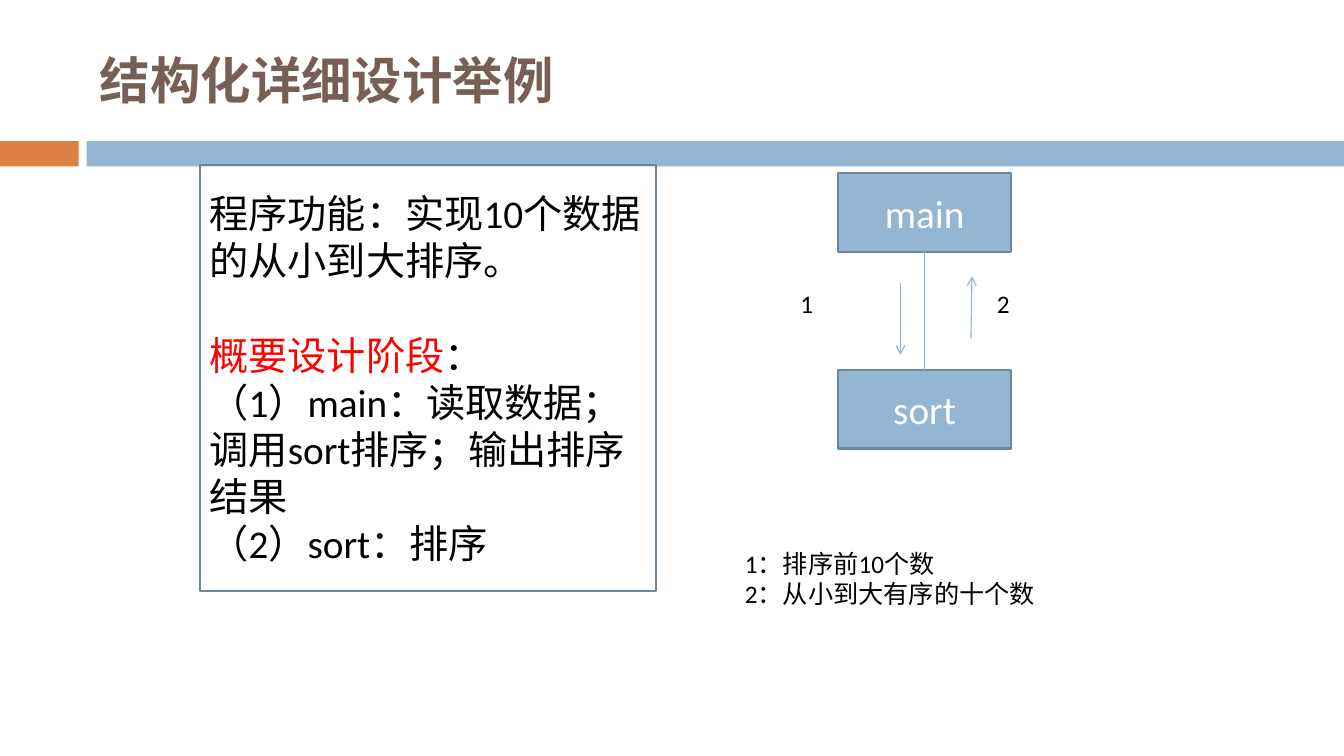
from pptx import Presentation
from pptx.dml.color import RGBColor
from pptx.enum.shapes import MSO_CONNECTOR, MSO_SHAPE
from pptx.enum.text import MSO_ANCHOR, MSO_AUTO_SIZE, PP_ALIGN
from pptx.oxml.ns import qn
from pptx.util import Inches, Pt
from lxml.etree import SubElement

FONT = "Calibri"
COLOURS = {
    "blue": "94B6D2",
    "outline": "6D879B",
    "orange": "DD8047",
    "title": "775F55",
    "black": "000000",
    "red": "FF0000",
    "white": "FFFFFF",
}


def rgb(name):
    """Return the named colour."""
    return RGBColor.from_string(COLOURS[name])


def format_run(run, size, colour, bold=False):
    """Set the font of one run."""
    run.font.name = FONT
    run.font.size = Pt(size)
    run.font.bold = bold
    run.font.color.rgb = rgb(colour)


def write_lines(text_frame, lines, size, colour, align=PP_ALIGN.LEFT):
    """Write one formatted paragraph per line."""
    text_frame.word_wrap = True
    text_frame.text = "\n".join(lines)
    for paragraph in text_frame.paragraphs:
        paragraph.alignment = align
        for run in paragraph.runs:
            format_run(run, size, colour)


def add_title(slide, text):
    """Place and format the title placeholder."""
    title = slide.shapes.title
    title.left, title.top = Inches(0.89), Inches(0.25)
    title.width, title.height = Inches(11.89), Inches(1.08)
    text_frame = title.text_frame
    write_lines(text_frame, [text], 36, "title")
    text_frame.auto_size = MSO_AUTO_SIZE.NONE
    text_frame.vertical_anchor = MSO_ANCHOR.MIDDLE
    text_frame.paragraphs[0].runs[0].font.bold = True


def add_rectangle(slide, left, top, width, height, fill=None, outlined=True):
    """Add a rectangle with an optional fill and outline."""
    shape = slide.shapes.add_shape(
        MSO_SHAPE.RECTANGLE, Inches(left), Inches(top), Inches(width), Inches(height))
    shape.shadow.inherit = False
    if fill:
        shape.fill.solid()
        shape.fill.fore_color.rgb = rgb(fill)
    else:
        shape.fill.background()
    if outlined:
        shape.line.color.rgb = rgb("outline")
        shape.line.width = Pt(1.5)
    else:
        shape.line.fill.background()
    shape.text_frame.vertical_anchor = MSO_ANCHOR.MIDDLE
    return shape


def add_module(slide, name, top):
    """Add a box of the structure chart."""
    box = add_rectangle(slide, 8.31, top, 1.72, 0.78, "blue")
    write_lines(box.text_frame, [name], 28, "white", PP_ALIGN.CENTER)
    return box


def add_description(slide):
    """Add the outlined description of the program."""
    box = add_rectangle(slide, 1.98, 1.64, 4.53, 4.22)
    lines = [
        "程序功能：实现10个数据的从小到大排序。",
        "概要设计阶段",
        "（1）main：读取数据；调用sort排序；输出排序结果",
        "（2）sort：排序",
    ]
    write_lines(box.text_frame, lines, 28, "black")
    heading = box.text_frame.paragraphs[1]
    heading.space_before = Pt(34)
    heading.runs[0].font.color.rgb = rgb("red")
    colon = heading.add_run()
    colon.text = "："
    format_run(colon, 28, "black")


def add_line(slide, start, end, arrow=False):
    """Add a thin line, with an arrowhead at its end if wanted."""
    line = slide.shapes.add_connector(
        MSO_CONNECTOR.STRAIGHT, *(Inches(value) for value in (*start, *end)))
    line.line.color.rgb = rgb("blue")
    line.line.width = Pt(0.79)
    properties = line._element.spPr
    if arrow:
        SubElement(properties.find(qn("a:ln")), qn("a:tailEnd"), type="arrow")
    SubElement(properties, qn("a:effectLst"))
    return line


def add_label(slide, lines, left, top, width, height):
    """Add a small text box."""
    box = slide.shapes.add_textbox(
        Inches(left), Inches(top), Inches(width), Inches(height))
    write_lines(box.text_frame, lines, 18, "black")


def main():
    """Build and save the slide."""
    presentation = Presentation()
    presentation.slide_width = Inches(13.33)
    presentation.slide_height = Inches(7.5)
    slide = presentation.slides.add_slide(presentation.slide_layouts[5])

    add_rectangle(slide, 0, 1.4, 0.78, 0.25, "orange", outlined=False)
    add_rectangle(slide, 0.86, 1.4, 12.47, 0.25, "blue", outlined=False)
    add_title(slide, "结构化详细设计举例")

    main_box = add_module(slide, "main", 1.72)
    sort_box = add_module(slide, "sort", 3.67)
    add_description(slide)

    call_line = add_line(slide, (9.17, 2.5), (9.17, 3.67))
    call_line.begin_connect(main_box, 2)
    call_line.end_connect(sort_box, 0)
    add_line(slide, (8.93, 2.81), (8.93, 3.52), arrow=True)
    add_line(slide, (9.63, 3.36), (9.64, 2.74), arrow=True)

    for number, left in (("1", 7.84), ("2", 9.79)):
        add_label(slide, [number], left, 2.81, 0.86, 0.4)
    legend = ["1：排序前10个数", "2：从小到大有序的十个数"]
    add_label(slide, legend, 7.29, 5.39, 3.98, 0.71)

    presentation.save("out.pptx")


if __name__ == "__main__":
    main()
